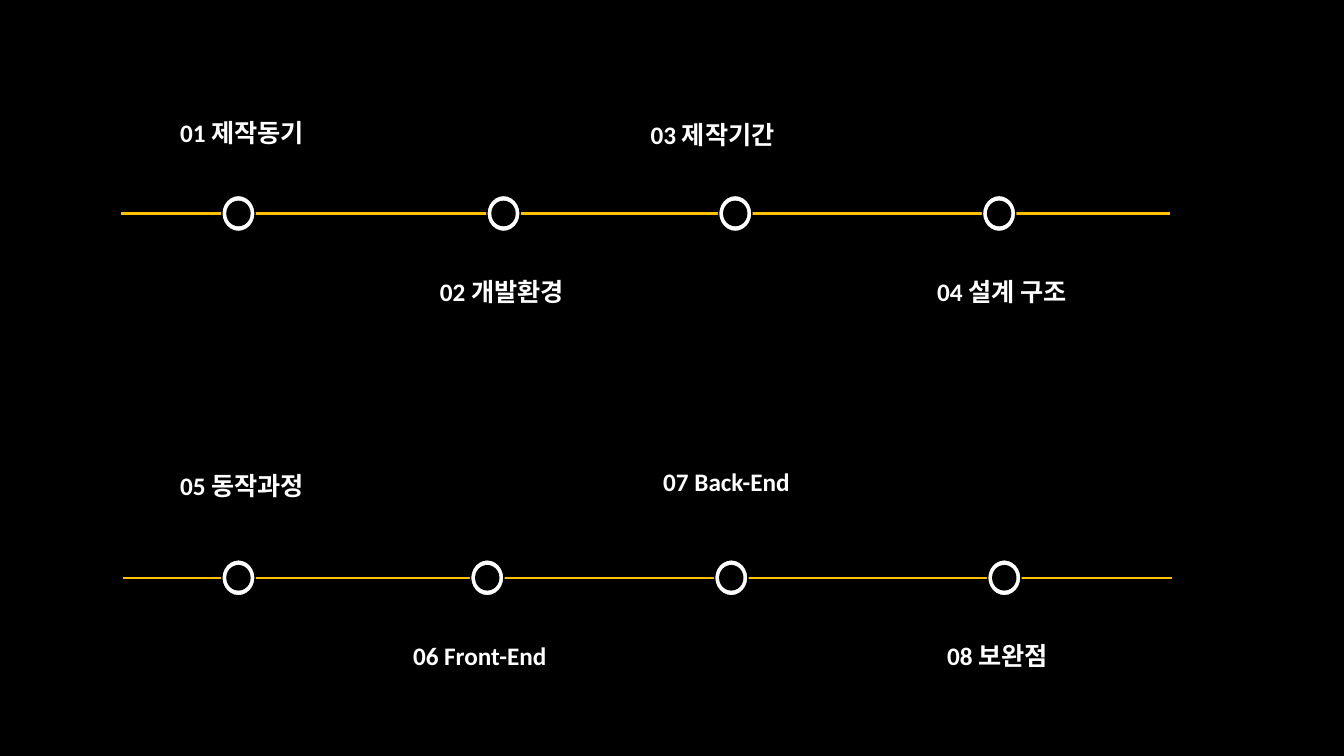
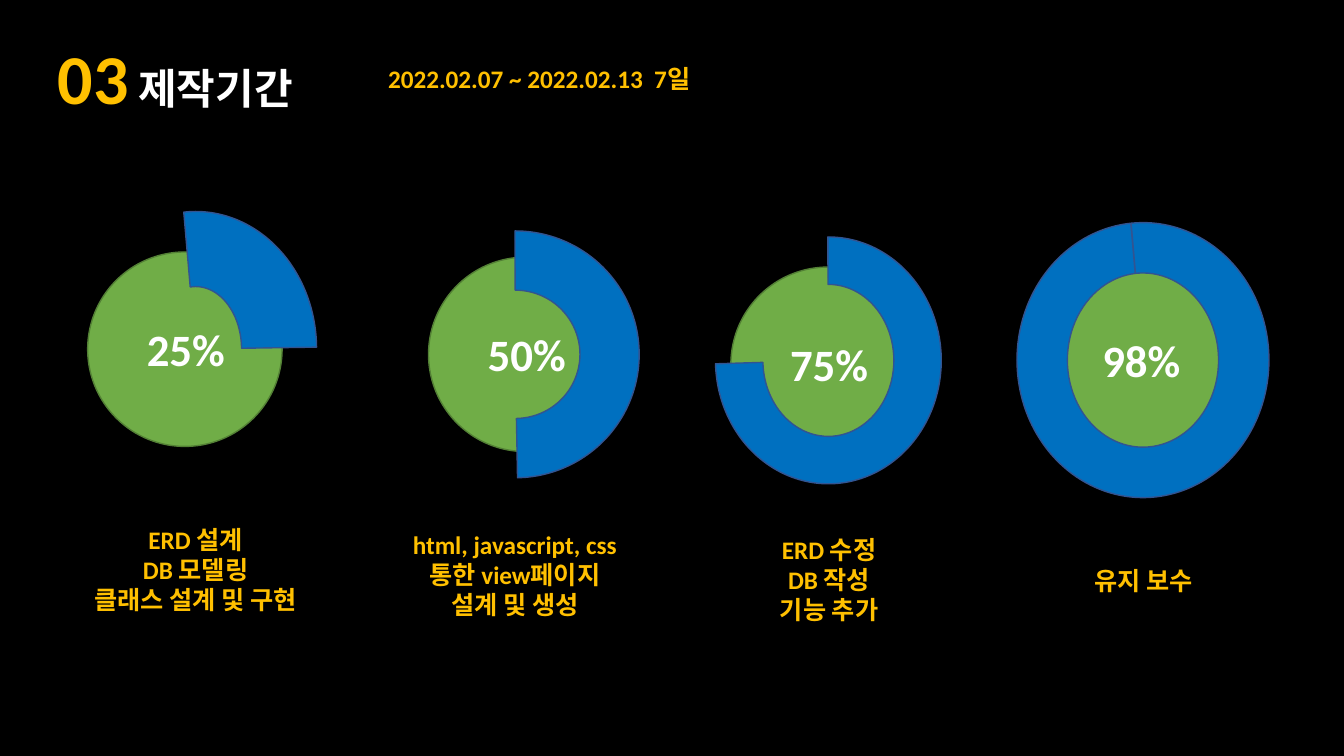
import lxml.etree
import pptx
import pptx.dml.color
import pptx.enum.shapes
import pptx.enum.text
import pptx.oxml.ns
import pptx.util

Cm = pptx.util.Cm
Pt = pptx.util.Pt
SHAPE = pptx.enum.shapes.MSO_SHAPE
ALIGN = pptx.enum.text.PP_ALIGN
ANCHOR = pptx.enum.text.MSO_ANCHOR

FONT = "Calibri"
COLORS = {
    "black": "000000",
    "white": "FFFFFF",
    "gold": "FFC000",
    "green": "70AD47",
    "dark green": "538035",
    "blue": "0070C0",
    "dark blue": "325491",
}
rgb = {name: pptx.dml.color.RGBColor.from_string(code) for name, code in COLORS.items()}


def write(frame, lines, align, anchor=ANCHOR.MIDDLE, wrap=True):
    frame.word_wrap = wrap
    frame.auto_size = pptx.enum.text.MSO_AUTO_SIZE.NONE
    frame.vertical_anchor = anchor
    for number, runs in enumerate(lines):
        paragraph = frame.add_paragraph() if number else frame.paragraphs[0]
        paragraph.alignment = align
        for text, size, color in runs:
            run = paragraph.add_run()
            run.text = text
            run.font.name = FONT
            run.font.size = Pt(size)
            run.font.bold = True
            run.font.color.rgb = rgb[color]


def draw(shapes, preset, left, top, width, height, fill, outline):
    shape = shapes.add_shape(preset, Cm(left), Cm(top), Cm(width), Cm(height))
    shape.shadow.inherit = False
    shape.fill.solid()
    shape.fill.fore_color.rgb = rgb[fill]
    shape.line.color.rgb = rgb[outline]
    shape.line.width = Pt(1)
    return shape


deck = pptx.Presentation()
deck.slide_width = Cm(33.87)
deck.slide_height = Cm(19.05)
backdrop = deck.slide_master.background.fill
backdrop.solid()
backdrop.fore_color.rgb = rgb["black"]
title_only, blank = deck.slide_layouts[5], deck.slide_layouts[6]

contents = deck.slides.add_slide(blank)

topics = [
    ("01 제작동기", 3.56, 2.01),
    ("02 개발환경", 10.11, 6.02),
    ("03 제작기간", 15.42, 2.08),
    ("04 설계 구조", 22.71, 6.02),
    ("05 동작과정", 3.56, 10.92),
    ("06 Front-End", 9.55, 15.2),
    ("07 Back-End", 15.77, 10.82),
    ("08 보완점", 22.6, 15.2),
]
for topic, left, top in topics:
    label = contents.shapes.add_textbox(Cm(left), Cm(top), Cm(5.08), Cm(2.64))
    write(label.text_frame, [[(topic, 18, "white")]], ALIGN.CENTER)

timelines = [
    (3.05, 5.38, [6.01, 12.69, 18.53, 25.18]),
    (3.1, 14.56, [6.01, 12.28, 18.43, 25.31]),
]
for start, level, stops in timelines:
    track = contents.shapes.add_connector(
        pptx.enum.shapes.MSO_CONNECTOR.STRAIGHT,
        Cm(start), Cm(level), Cm(start + 26.43), Cm(level),
    )
    track.line.color.rgb = rgb["gold"]
    track.line.width = Pt(1.5)
    lxml.etree.SubElement(track._element.spPr, pptx.oxml.ns.qn("a:effectLst"))
    for stop in stops:
        ring = contents.shapes.add_group_shape()
        for width, height, fill in [(0.84, 0.91, "white"), (0.58, 0.61, "black")]:
            draw(ring.shapes, SHAPE.OVAL, stop - width / 2, level - height / 2,
                 width, height, fill, "black")

schedule = deck.slides.add_slide(title_only)

heading = schedule.shapes.title
heading.left, heading.top, heading.width, heading.height = Cm(1.2), Cm(0.28), Cm(8), Cm(3.28)
write(heading.text_frame, [[("03", 50, "gold"), (" 제작기간", 30, "white")]], ALIGN.LEFT)

period = schedule.shapes.add_textbox(Cm(9.53), Cm(1.3), Cm(9.22), Cm(1.35))
write(period.text_frame, [[("2022.02.07 ~ 2022.02.13  7일", 18, "gold")]], ALIGN.LEFT)

phases = [
    {
        "done": "25%", "disc": (2.21, 6.35),
        "arc": (1.88, 5.33, 6.1, 6.93), "angles": (265.07, 359.12), "ratio": 0.31, "turn": 0,
        "tasks": ["ERD 설계", "DB 모델링", "클래스 설계 및 구현"], "tasks at": (1.88, 13.08, 6.1),
    },
    {
        "done": "50%", "disc": (10.8, 6.48),
        "arc": (9.86, 5.82, 6.25, 6.22), "angles": (269.9, 88.92), "ratio": 0.24, "turn": 0,
        "tasks": ["html, javascript, css", "통한 view페이지", "설계 및 생성"],
        "tasks at": (10.13, 13.21, 5.69),
    },
    {
        "done": "75%", "disc": (18.42, 6.73),
        "arc": (18.03, 5.97, 5.69, 6.22), "angles": (89.75, 358.26), "ratio": 0.21, "turn": 180,
        "tasks": ["ERD 수정", "DB 작성", "기능 추가"], "tasks at": (19.28, 13.34, 3.23),
    },
    {
        "done": "98%", "disc": (26.29, 6.63),
        "arc": (25.63, 5.61, 6.35, 6.93), "angles": (265.07, 264.9), "ratio": 0.2, "turn": 0,
        "tasks": ["유지 보수"], "tasks at": (27.2, 14.12, 3.23),
    },
]
for phase in phases:
    gauge = schedule.shapes.add_group_shape().shapes

    left, top, width = phase["tasks at"]
    height = 1.02 + 0.77 * (len(phase["tasks"]) - 1)
    tasks = gauge.add_textbox(Cm(left), Cm(top), Cm(width), Cm(height))
    write(tasks.text_frame, [[(task, 18, "gold")] for task in phase["tasks"]],
          ALIGN.CENTER, ANCHOR.TOP, False)

    left, top = phase["disc"]
    draw(gauge, SHAPE.OVAL, left, top, 4.9, 4.9, "green", "dark green")

    progress = draw(gauge, SHAPE.BLOCK_ARC, *phase["arc"], "blue", "dark blue")
    progress.rotation = phase["turn"]
    for index, angle in enumerate(phase["angles"]):
        progress.adjustments[index] = angle * 0.6
    progress.adjustments[2] = phase["ratio"]

    done = gauge.add_textbox(Cm(left + 1.24), Cm(top + 1.63), Cm(2.51), Cm(1.63))
    write(done.text_frame, [[(phase["done"], 32, "white")]], ALIGN.LEFT, ANCHOR.TOP, False)

deck.save("out.pptx")
